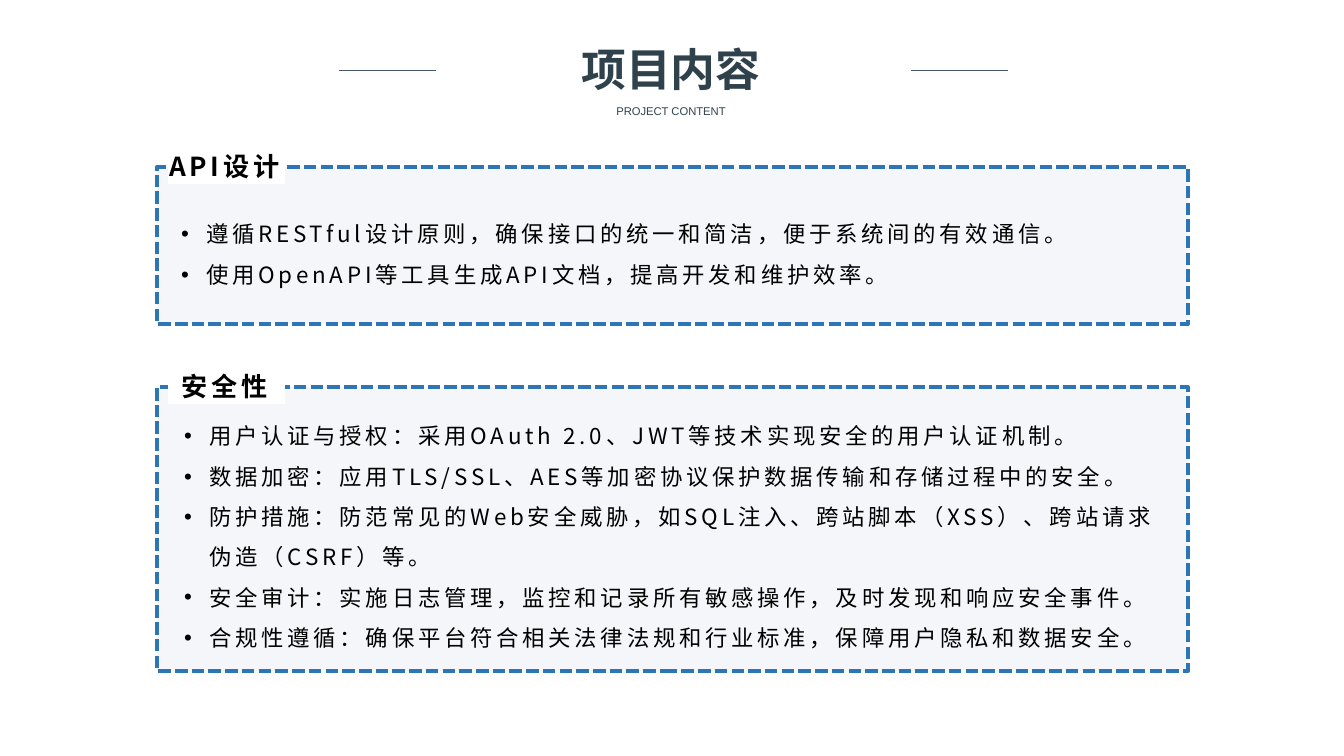
from dataclasses import dataclass

import pptx
import pptx.dml.color
import pptx.enum.dml
import pptx.enum.shapes
import pptx.enum.text
import pptx.oxml
import pptx.oxml.ns
import pptx.util

TITLE = "项目内容"
SUBTITLE = "PROJECT CONTENT"
# Each section: panel top and height, heading left, body (left, width, height), in px
SECTIONS = [
    {
        "heading": "API设计",
        "panel": (167, 157),
        "heading_left": 156,
        "body": (168, 974, 90),
        "points": [
            "遵循RESTful设计原则，确保接口的统一和简洁，便于系统间的有效通信。",
            "使用OpenAPI等工具生成API文档，提高开发和维护效率。",
        ],
    },
    {
        "heading": "安全性",
        "panel": (387, 284),
        "heading_left": 168,
        "body": (171, 1005, 253),
        "points": [
            "用户认证与授权：采用OAuth 2.0、JWT等技术实现安全的用户认证机制。",
            "数据加密：应用TLS/SSL、AES等加密协议保护数据传输和存储过程中的安全。",
            "防护措施：防范常见的Web安全威胁，如SQL注入、跨站脚本（XSS）、跨站请求伪造（CSRF）等。",
            "安全审计：实施日志管理，监控和记录所有敏感操作，及时发现和响应安全事件。",
            "合规性遵循：确保平台符合相关法律法规和行业标准，保障用户隐私和数据安全。",
        ],
    },
]
PANEL_LEFT, PANEL_WIDTH = 157, 1031
RULE_LEFTS, RULE_WIDTH, RULE_Y = (339, 911), 97, 71


@dataclass(frozen=True)
class Theme:
    title: str = "2F414B"
    text: str = "000000"
    rule: str = "44546A"
    border: str = "2E75B6"
    panel: str = "F4F6FA"
    paper: str = "FFFFFF"
    latin: str = "Arial"
    cjk: str = "Noto Sans CJK SC"
    title_size: int = 24
    subtitle_size: int = 6
    heading_size: int = 14
    body_size: int = 12
    tracking: int = 2


THEME = Theme()


def px(length):
    return pptx.util.Emu(round(length * 914400 / 134.4))


def rgb(value):
    return pptx.dml.color.RGBColor.from_string(value)


def add_text(box, paragraphs, size, color, font, bold=False, tracking=0,
             centered=False, bulleted=False):
    """Add a text box with one run per paragraph; box is in px."""
    frame = slide.shapes.add_textbox(*map(px, box)).text_frame
    frame.word_wrap = True
    frame.auto_size = pptx.enum.text.MSO_AUTO_SIZE.SHAPE_TO_FIT_TEXT
    for index, text in enumerate(paragraphs):
        paragraph = frame.add_paragraph() if index else frame.paragraphs[0]
        if centered:
            paragraph.alignment = pptx.enum.text.PP_ALIGN.CENTER
        if bulleted:
            add_bullet(paragraph)
        run = paragraph.add_run()
        run.text = text
        run.font.size = pptx.util.Pt(size)
        run.font.bold = bold
        run.font.name = font
        run.font.color.rgb = rgb(color)
        properties = run.font._element
        east_asian = pptx.oxml.parse_xml(
            f'<a:ea {pptx.oxml.ns.nsdecls("a")} typeface="{THEME.cjk}"/>')
        properties.find(pptx.oxml.ns.qn("a:latin")).addnext(east_asian)
        if tracking:
            properties.set("spc", str(tracking * 100))


def add_bullet(paragraph):
    paragraph.line_spacing = 1.5
    properties = paragraph._p.get_or_add_pPr()
    indent = px(25)
    properties.set("marL", str(indent))
    properties.set("indent", str(-indent))
    for tag in ('buFont {} typeface="Arial"', 'buChar {} char="•"'):
        properties.append(pptx.oxml.parse_xml(
            f'<a:{tag.format(pptx.oxml.ns.nsdecls("a"))}/>'))


def add_rectangle(box, fill, border=None):
    rectangle = slide.shapes.add_shape(
        pptx.enum.shapes.MSO_SHAPE.RECTANGLE, *map(px, box))
    rectangle.shadow.inherit = False
    rectangle.fill.solid()
    rectangle.fill.fore_color.rgb = rgb(fill)
    if border:
        rectangle.line.color.rgb = rgb(border)
        rectangle.line.width = pptx.util.Pt(2.25)
        rectangle.line.dash_style = pptx.enum.dml.MSO_LINE.SQUARE_DOT
    else:
        rectangle.line.fill.background()


def add_rule(left):
    rule = slide.shapes.add_connector(
        pptx.enum.shapes.MSO_CONNECTOR.STRAIGHT,
        px(left + RULE_WIDTH), px(RULE_Y), px(left), px(RULE_Y))
    rule.line.color.rgb = rgb(THEME.rule)
    rule.line.width = pptx.util.Pt(0.5)
    rule._element.spPr.append(pptx.oxml.parse_xml(
        f'<a:effectLst {pptx.oxml.ns.nsdecls("a")}/>'))


def add_section(section):
    """Draw a dashed panel whose heading interrupts its top border."""
    top, height = section["panel"]
    body_left, body_width, body_height = section["body"]
    body_top = top + (height - body_height) / 2
    add_rectangle((PANEL_LEFT, top, PANEL_WIDTH, height), THEME.panel, THEME.border)
    add_rectangle((PANEL_LEFT + 11, top - 19, 117, 36), THEME.paper)
    add_text((section["heading_left"], top - 23, 180, 46), [section["heading"]],
             THEME.heading_size, THEME.text, THEME.cjk, bold=True,
             tracking=THEME.tracking)
    add_text((body_left, body_top, body_width, body_height), section["points"],
             THEME.body_size, THEME.text, THEME.cjk, tracking=THEME.tracking,
             bulleted=True)


presentation = pptx.Presentation()
presentation.slide_width, presentation.slide_height = px(1344), px(756)
slide = presentation.slides.add_slide(presentation.slide_layouts[6])

add_text((591, 98, 160, 27), [SUBTITLE], THEME.subtitle_size, THEME.title,
         THEME.latin, centered=True)
add_text((464, 35, 414, 67), [TITLE], THEME.title_size, THEME.title,
         THEME.latin, bold=True, centered=True)
for rule_left in RULE_LEFTS:
    add_rule(rule_left)
for section in SECTIONS:
    add_section(section)

presentation.save("out.pptx")
